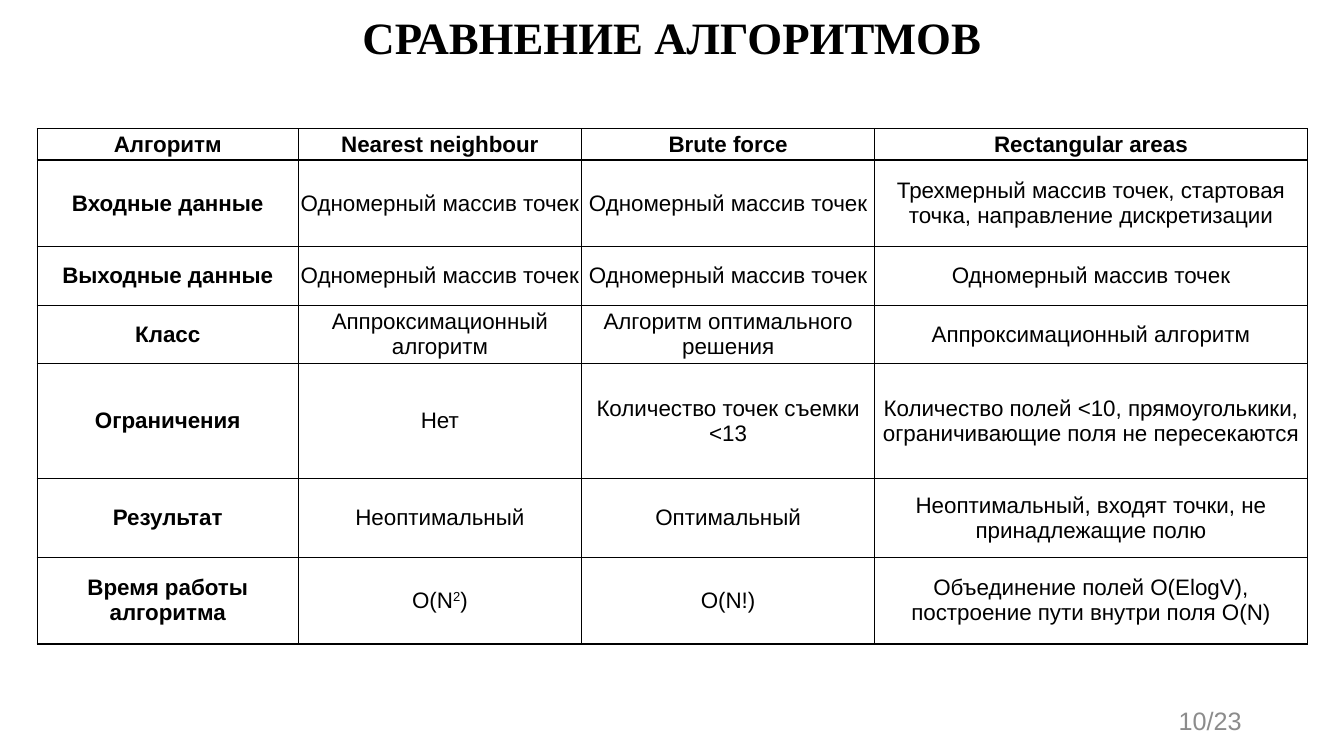
from dataclasses import dataclass
from typing import Any

from lxml.etree import SubElement
from pptx import Presentation
from pptx.dml.color import RGBColor
from pptx.enum.text import MSO_ANCHOR, MSO_AUTO_SIZE, PP_ALIGN
from pptx.oxml.ns import qn
from pptx.slide import Slide
from pptx.table import _Cell
from pptx.text.text import _Paragraph
from pptx.util import Pt


@dataclass(frozen=True)
class Theme:
    ink: RGBColor = RGBColor(0, 0, 0)
    paper: RGBColor = RGBColor(255, 255, 255)
    muted: RGBColor = RGBColor(0x8C, 0x8C, 0x8C)
    heading_font: str = "Times New Roman"
    body_font: str = "Arial"
    title_size: float = 32
    number_size: float = 18
    table_size: float = 16
    border_width: float = 1
    cell_margin: float = 0.72


@dataclass(frozen=True)
class Span:
    text: str
    superscript: bool = False


@dataclass(frozen=True)
class Criterion:
    height: float
    label: str
    values: tuple[str | tuple[Span, ...], ...]


THEME = Theme()
POINTS = "Одномерный массив точек"
APPROXIMATE = "Аппроксимационный алгоритм"
COLUMN_WIDTHS = (186.5, 202.3, 209.5, 308.9)
CRITERIA = (
    Criterion(22.3, "Алгоритм", ("Nearest neighbour", "Brute force", "Rectangular areas")),
    Criterion(62, "Входные данные", (
        POINTS, POINTS,
        "Трехмерный массив точек, стартовая точка, направление дискретизации")),
    Criterion(41.8, "Выходные данные", (POINTS, POINTS, POINTS)),
    Criterion(41.8, "Класс", (APPROXIMATE, "Алгоритм оптимального решения", APPROXIMATE)),
    Criterion(82, "Ограничения", (
        "Нет", "Количество точек съемки <13",
        "Количество полей <10, прямоуголькики, ограничивающие поля не пересекаются")),
    Criterion(56.2, "Результат", (
        "Неоптимальный", "Оптимальный",
        "Неоптимальный, входят точки, не принадлежащие полю")),
    Criterion(62, "Время работы алгоритма", (
        (Span("O(N"), Span("2", superscript=True), Span(")")), "O(N!)",
        "Объединение полей O(ElogV), построение пути внутри поля O(N)")),
)


def apply_format(target: Any, values: dict[str, Any]) -> None:
    for name, value in values.items():
        setattr(target, name, value)


def write_paragraph(para: _Paragraph, content: str | tuple[Span, ...], align: PP_ALIGN,
                    font: str, size: float, color: RGBColor, bold: bool) -> None:
    para.alignment = align
    spans = (Span(content),) if isinstance(content, str) else content
    for span in spans:
        run = para.add_run()
        run.text = span.text
        apply_format(run.font, {"name": font, "size": Pt(size), "bold": bold})
        run.font.color.rgb = color
        if span.superscript:
            run._r.get_or_add_rPr().set("baseline", "30000")


def draw_borders(cell: _Cell) -> None:
    properties = cell._tc.get_or_add_tcPr()
    for side in ("a:lnL", "a:lnR", "a:lnT", "a:lnB"):
        line = SubElement(properties, qn(side), w=str(Pt(THEME.border_width)))
        fill = SubElement(line, qn("a:solidFill"))
        SubElement(fill, qn("a:srgbClr"), val=str(THEME.ink))


def draw_title(page: Slide) -> None:
    title = page.shapes.title
    apply_format(title, {"left": Pt(120), "top": Pt(0), "width": Pt(720), "height": Pt(57)})
    apply_format(title.text_frame, {"vertical_anchor": MSO_ANCHOR.MIDDLE, "word_wrap": True,
                                    "auto_size": MSO_AUTO_SIZE.NONE})
    para = title.text_frame.paragraphs[0]
    para.line_spacing = 0.9
    write_paragraph(para, "СРАВНЕНИЕ АЛГОРИТМОВ", PP_ALIGN.CENTER,
                    THEME.heading_font, THEME.title_size, THEME.ink, True)


def draw_cell(cell: _Cell, content: str | tuple[Span, ...], bold: bool) -> None:
    margin = Pt(THEME.cell_margin)
    apply_format(cell, {"margin_left": margin, "margin_right": margin, "margin_top": margin,
                        "margin_bottom": margin, "vertical_anchor": MSO_ANCHOR.MIDDLE})
    draw_borders(cell)
    cell.fill.solid()
    cell.fill.fore_color.rgb = THEME.paper
    write_paragraph(cell.text_frame.paragraphs[0], content, PP_ALIGN.CENTER,
                    THEME.body_font, THEME.table_size, THEME.ink, bold)


def draw_comparison(page: Slide) -> None:
    height = sum(criterion.height for criterion in CRITERIA)
    frame = page.shapes.add_table(len(CRITERIA), len(COLUMN_WIDTHS), Pt(26.6), Pt(92),
                                  Pt(sum(COLUMN_WIDTHS)), Pt(height))
    table = frame.table
    table.horz_banding = False
    for column, width in zip(table.columns, COLUMN_WIDTHS):
        column.width = Pt(width)
    for row_index, criterion in enumerate(CRITERIA):
        table.rows[row_index].height = Pt(criterion.height)
        for column_index, content in enumerate((criterion.label, *criterion.values)):
            bold = row_index == 0 or column_index == 0
            draw_cell(table.cell(row_index, column_index), content, bold)


def draw_page_number(page: Slide) -> None:
    box = page.shapes.add_textbox(Pt(678), Pt(500.5), Pt(216), Pt(28.8))
    apply_format(box.text_frame, {"word_wrap": True, "vertical_anchor": MSO_ANCHOR.MIDDLE})
    write_paragraph(box.text_frame.paragraphs[0], "10/23", PP_ALIGN.RIGHT,
                    THEME.body_font, THEME.number_size, THEME.muted, False)


def main() -> None:
    deck = Presentation()
    apply_format(deck, {"slide_width": Pt(960), "slide_height": Pt(540)})
    page = deck.slides.add_slide(deck.slide_layouts.get_by_name("Title Only"))
    draw_title(page)
    draw_comparison(page)
    draw_page_number(page)
    deck.save("out.pptx")


if __name__ == "__main__":
    main()
